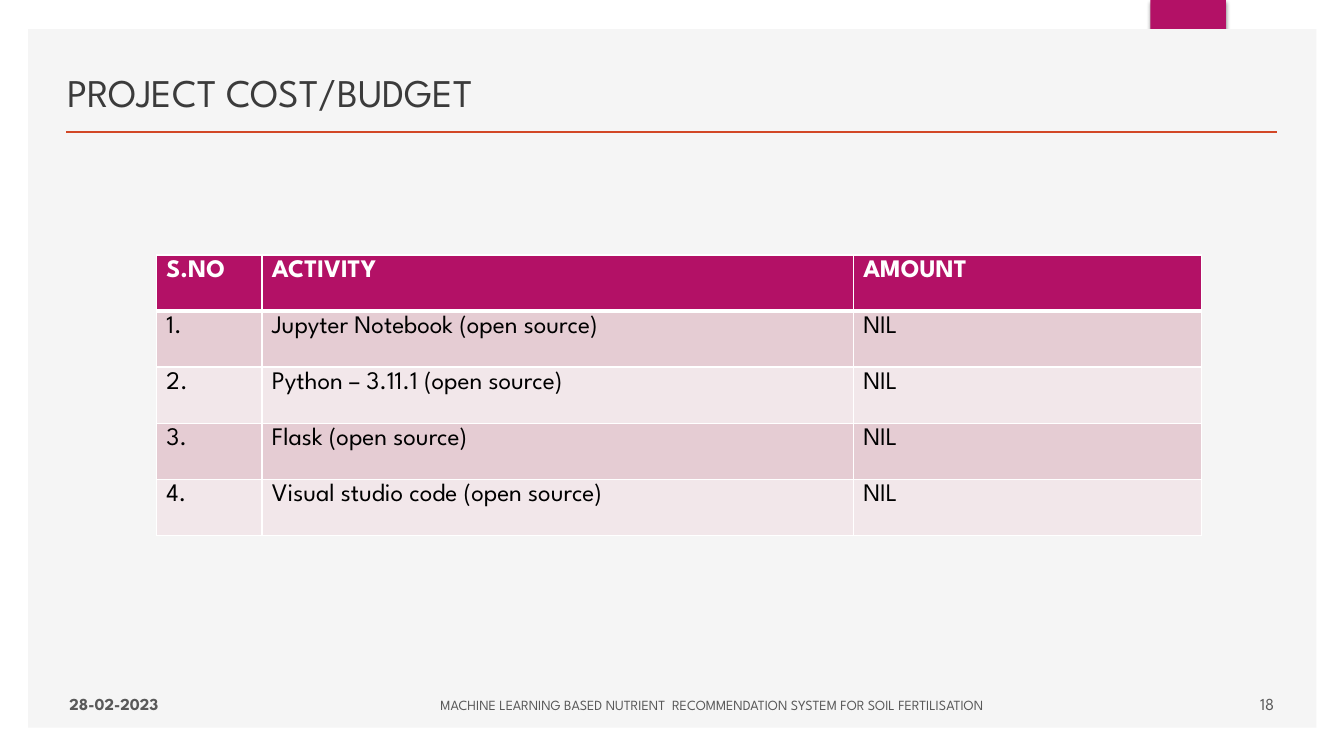
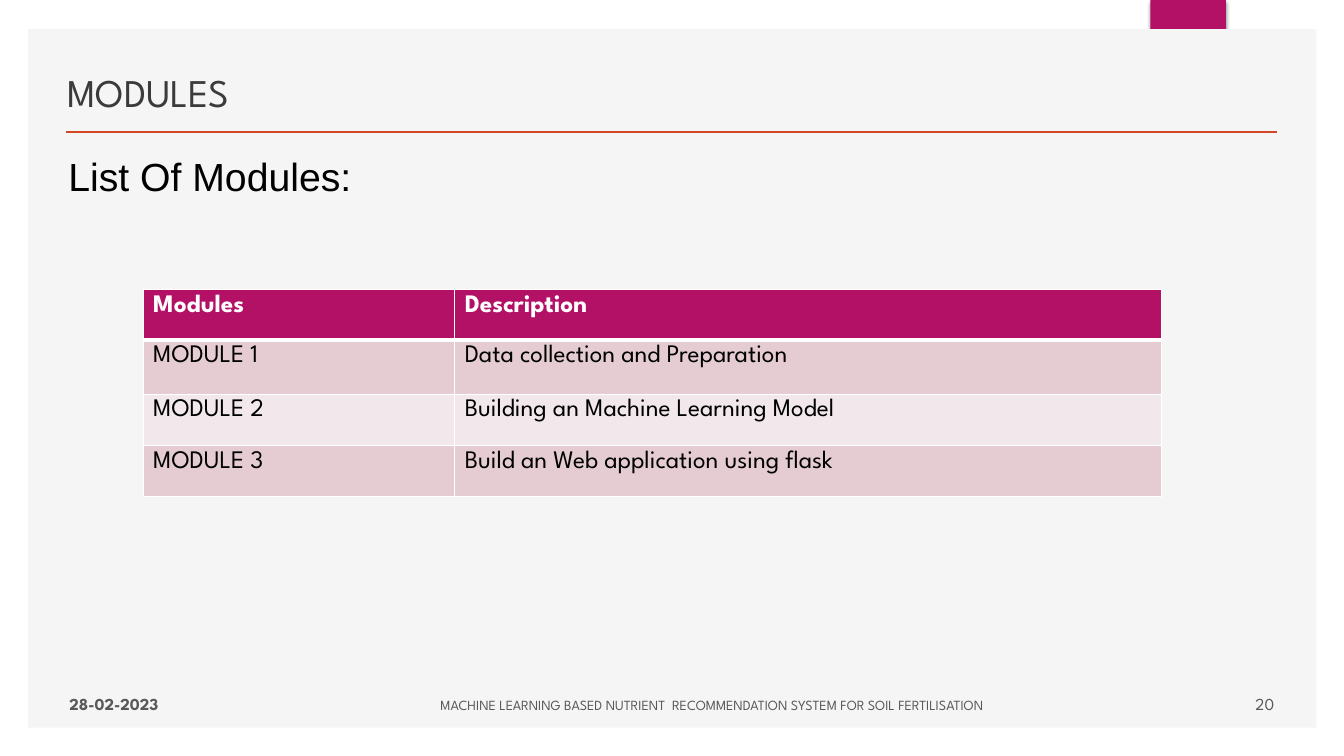
from dataclasses import dataclass

from lxml import etree
from pptx import Presentation
from pptx import util as u
from pptx.dml.color import RGBColor
from pptx.enum import shapes, text
from pptx.oxml import ns

ANCHOR, ALIGN = text.MSO_ANCHOR, text.PP_ALIGN


@dataclass(frozen=True)
class Theme:
    heading_font: str = "League Spartan"
    body_font: str = "Arial"
    accent: str = "B31166"
    panel: str = "F5F5F5"
    rule: str = "D24726"
    title: str = "3B3B3B"
    footer: str = "595959"
    ink: str = "000000"
    white: str = "FFFFFF"
    bands: tuple = ("E5CCD3", "F2E7EA")
    title_size: int = 28
    table_size: int = 18
    footer_size: int = 12
    project_size: int = 10
    grid_line: float = 1
    header_line: float = 3


THEME = Theme()
DATE = "28-02-2023"
PROJECT = "MACHINE LEARNING BASED NUTRIENT  RECOMMENDATION SYSTEM FOR SOIL FERTILISATION"


@dataclass(frozen=True)
class Box:
    left: int
    top: int
    width: int
    height: int

    def area(self, left, top, width, height):
        """Return an inner box given in percent of this one."""
        return Box(self.left + round(self.width * left / 100),
                   self.top + round(self.height * top / 100),
                   round(self.width * width / 100),
                   round(self.height * height / 100))

    @property
    def place(self):
        return self.left, self.top, self.width, self.height


def rgb(code):
    return RGBColor.from_string(code)


def add_node(parent, tag, **attributes):
    return etree.SubElement(parent, ns.qn(tag), attributes)


def write(frame, words, size, color, font=THEME.heading_font, bold=False,
          align=ALIGN.LEFT, anchor=None):
    paragraph = frame.paragraphs[0]
    paragraph.alignment = align
    run = paragraph.add_run()
    run.text = words
    run.font.name, run.font.size, run.font.bold = font, u.Pt(size), bold
    run.font.color.rgb = rgb(color)
    if anchor is not None:
        frame.vertical_anchor = anchor


def add_label(slide, box, words, **style):
    frame = slide.shapes.add_textbox(*box.place).text_frame
    frame.word_wrap = True
    write(frame, words, **style)


def add_block(slide, box, color):
    block = slide.shapes.add_shape(shapes.MSO_SHAPE.RECTANGLE, *box.place)
    block.shadow.inherit = False
    block.fill.solid()
    block.fill.fore_color.rgb = rgb(color)
    block.line.fill.background()
    return block


def add_soft_shadow(shape):
    effects = shape._element.spPr.find(ns.qn("a:effectLst"))
    shadow = add_node(effects, "a:outerShdw", blurRad=str(u.Pt(3)),
                      dist=str(u.Pt(2)), dir="5400000", rotWithShape="0")
    black = add_node(shadow, "a:srgbClr", val=THEME.ink)
    add_node(black, "a:alpha", val="45000")


def draw_frame(slide, page):
    # Accent tab tucked behind the panel
    add_soft_shadow(add_block(slide, page.area(85.6, 0, 5.62, 16.67), THEME.accent))
    add_block(slide, page.area(2.1, 3.87, 95.85, 92.4), THEME.panel)

    # Rule under the title
    span = page.area(4.95, 17.47, 90.08, 0)
    rule = slide.shapes.add_connector(
        shapes.MSO_CONNECTOR.STRAIGHT, span.left, span.top,
        span.left + span.width, span.top)
    rule.line.color.rgb = rgb(THEME.rule)
    rule.line.width = u.Pt(2)
    add_node(rule._element.spPr, "a:effectLst")


def draw_title(slide, box, title):
    add_label(slide, box, title, size=THEME.title_size, color=THEME.title,
              anchor=ANCHOR.BOTTOM)


def draw_footer(slide, box, number):
    style = dict(color=THEME.footer, anchor=ANCHOR.MIDDLE)
    add_label(slide, box.area(0, 0, 29.47, 100), DATE,
              size=THEME.footer_size, bold=True, **style)
    add_label(slide, box.area(70.53, 0, 29.47, 100), str(number),
              size=THEME.footer_size, align=ALIGN.RIGHT, **style)
    add_label(slide, box.area(26.42, 2.5, 53.66, 100), PROJECT,
              size=THEME.project_size, align=ALIGN.CENTER, **style)


def set_borders(cell, row):
    widths = {"L": THEME.grid_line, "R": THEME.grid_line,
              "T": THEME.header_line if row == 1 else THEME.grid_line,
              "B": THEME.header_line if row == 0 else THEME.grid_line}
    for side, points in widths.items():
        line = add_node(cell._tc.get_or_add_tcPr(), f"a:ln{side}",
                        w=str(u.Pt(points)))
        add_node(add_node(line, "a:solidFill"), "a:srgbClr", val=THEME.white)


def draw_table(slide, box, rows, column_shares, row_shares):
    table = slide.shapes.add_table(len(rows), len(rows[0]), *box.place).table
    for column, share in zip(table.columns, column_shares):
        column.width = round(box.width * share / sum(column_shares))
    for row, share in zip(table.rows, row_shares):
        row.height = round(box.height * share / sum(row_shares))

    for r, entries in enumerate(rows):
        header = r == 0
        for c, words in enumerate(entries):
            cell = table.cell(r, c)
            set_borders(cell, r)
            cell.fill.solid()
            cell.fill.fore_color.rgb = rgb(
                THEME.accent if header else THEME.bands[(r - 1) % 2])
            write(cell.text_frame, words, size=THEME.table_size, bold=header,
                  color=THEME.white if header else THEME.ink)


def start_slide(deck, page, title, number):
    slide = deck.slides.add_slide(deck.slide_layouts[6])
    draw_frame(slide, page)
    draw_title(slide, page.area(4.28, 6.53, 56.4, 9.33), title)
    draw_footer(slide, page.area(4.42, 90.4, 91.13, 5.33), number)
    return slide


def budget_slide(deck, page):
    slide = start_slide(deck, page, "PROJECT COST/BUDGET", 18)
    tools = ["Jupyter Notebook (open source)", "Python – 3.11.1 (open source)",
             "Flask (open source)", "Visual studio code (open source)"]
    rows = [("S.NO", "ACTIVITY", "AMOUNT")]
    rows += [(f"{n}.", tool, "NIL") for n, tool in enumerate(tools, 1)]
    draw_table(slide, page.area(11.63, 33.73, 77.8, 37.07), rows,
               column_shares=(10.1, 56.55, 33.35), row_shares=[1] * len(rows))


def modules_slide(deck, page):
    slide = start_slide(deck, page, "MODULES", 20)
    add_label(slide, page.area(4.35, 19.47, 48.15, 15.73), "List Of Modules:",
              size=THEME.title_size, color=THEME.ink, font=THEME.body_font)
    descriptions = ["Data collection and Preparation",
                    "Building an Machine Learning Model",
                    "Build an Web application using flask"]
    rows = [("Modules", "Description")]
    rows += [(f"MODULE {n}", words) for n, words in enumerate(descriptions, 1)]
    draw_table(slide, page.area(10.65, 38.27, 75.75, 27.47), rows,
               column_shares=(30.6, 69.4), row_shares=(50, 54, 51, 51))


def main():
    deck = Presentation()
    deck.slide_width, deck.slide_height = u.Inches(13.33), u.Inches(7.5)
    page = Box(0, 0, deck.slide_width, deck.slide_height)
    budget_slide(deck, page)
    modules_slide(deck, page)
    deck.save("out.pptx")


if __name__ == "__main__":
    main()
